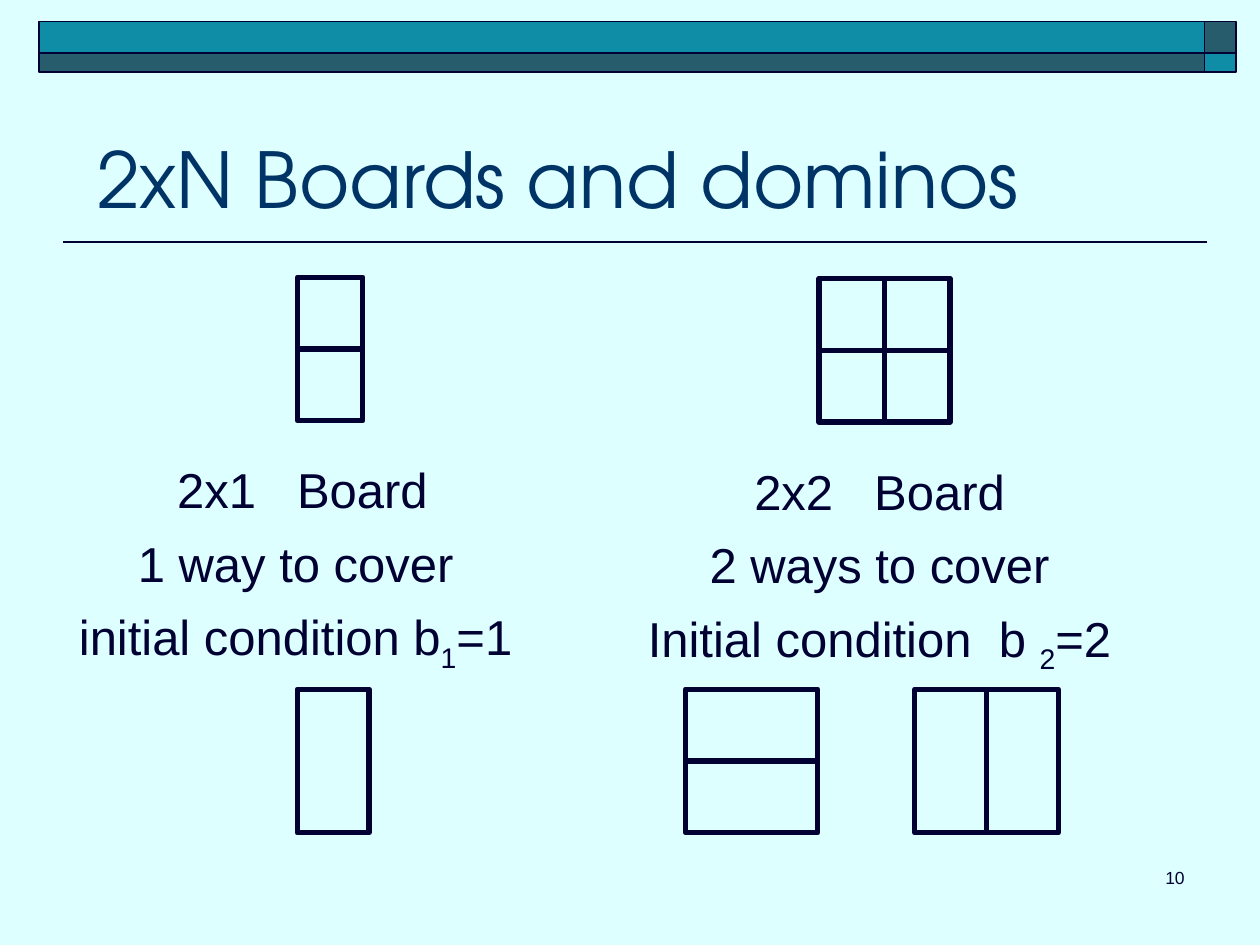
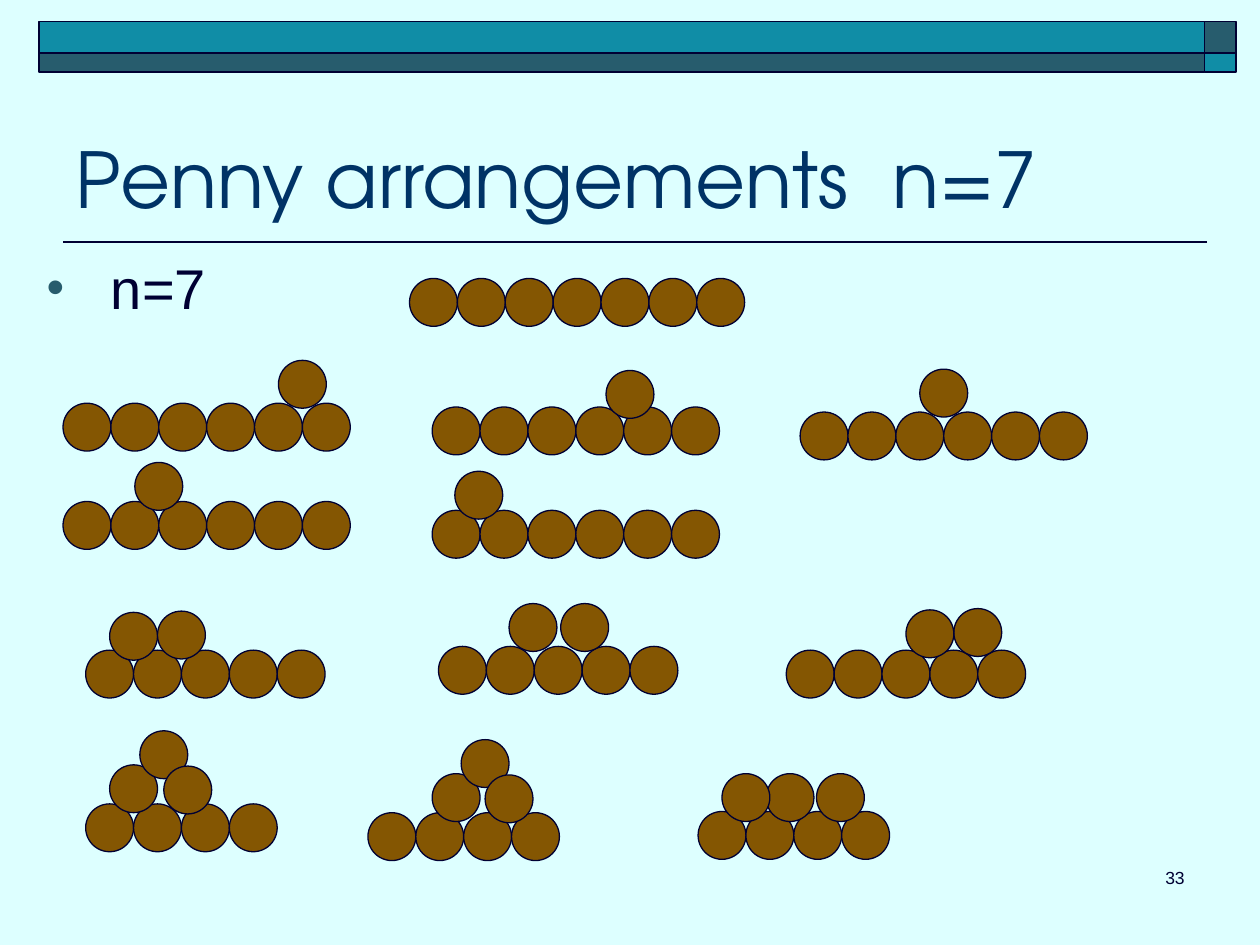
from lxml.etree import SubElement
from pptx import Presentation
from pptx.dml.color import RGBColor
from pptx.enum.shapes import MSO_CONNECTOR, MSO_SHAPE
from pptx.enum.text import MSO_ANCHOR, MSO_AUTO_SIZE, PP_ALIGN
from pptx.oxml.ns import qn
from pptx.util import Inches, Pt

COLORS = {
    "background": "DDFFFF",
    "ink": "000033",
    "title": "003366",
    "teal": "108DA6",
    "slate": "275C6D",
    "penny": "845602",
}
TITLE_FONT = "TeX Gyre Adventor"
BODY_FONT = "Arial"
PENNY_SIZE = 0.38

BANDS = [
    (9.56, 0.17, 0.25, 0.25, "slate"),
    (0.31, 0.17, 9.25, 0.25, "teal"),
    (0.31, 0.42, 9.25, 0.15, "slate"),
    (9.56, 0.42, 0.25, 0.15, "teal"),
]

# left, top of base row, pennies in base row, (offset, rise) of each upper penny
STACKS = [
    (3.25, 2.21, 7, []),
    (0.5, 3.2, 6, [(1.71, 0.34)]),
    (3.43, 3.23, 6, [(1.38, 0.29)]),
    (6.35, 3.27, 6, [(0.95, 0.34)]),
    (0.5, 3.98, 6, [(0.57, 0.31)]),
    (3.43, 4.05, 6, [(0.18, 0.31)]),
    (0.68, 5.16, 5, [(0.19, 0.3), (0.57, 0.31)]),
    (3.48, 5.13, 5, [(0.97, 0.34), (0.56, 0.34)]),
    (6.24, 5.16, 5, [(1.33, 0.33), (0.95, 0.32)]),
    (0.68, 6.38, 4, [(0.19, 0.31), (0.43, 0.58), (0.62, 0.3)]),
    (2.92, 6.45, 4, [(0.51, 0.31), (0.74, 0.58), (0.93, 0.3)]),
    (5.54, 6.44, 4, [(0.54, 0.3), (0.19, 0.3), (0.94, 0.3)]),
]


def color(name):
    return RGBColor.from_string(COLORS[name])


def place(shape, left, top, width, height):
    shape.left, shape.top = Inches(left), Inches(top)
    shape.width, shape.height = Inches(width), Inches(height)


def format_span(span, size, font=BODY_FONT, ink="ink"):
    span.font.size = Pt(size)
    span.font.name = font
    span.font.color.rgb = color(ink)


def add_spans(para, parts, size, font=BODY_FONT, ink="ink"):
    for text, attributes in parts:
        span = para.add_run()
        span.text = text
        format_span(span, size, font, ink)
        for name, value in attributes.items():
            span._r.get_or_add_rPr().set(name, str(value))


def wide_space(size, spaces):
    return " ", {"spc": round(28 * size * (spaces - 1))}


def subscript(text):
    return text, {"baseline": -25000}


def plain(text):
    return text, {}


def add_figure(page, kind, left, top, width, height, fill=None, line=1):
    figure = page.shapes.add_shape(
        kind, Inches(left), Inches(top), Inches(width), Inches(height))
    figure.shadow.inherit = False
    if fill:
        figure.fill.solid()
        figure.fill.fore_color.rgb = color(fill)
    else:
        figure.fill.background()
    figure.line.color.rgb = color("ink")
    figure.line.width = Pt(line)


def add_text_box(page, left, top, width, height):
    box = page.shapes.add_textbox(
        Inches(left), Inches(top), Inches(width), Inches(height))
    box.text_frame.word_wrap = True
    return box.text_frame


def add_bands(page):
    rule = page.shapes.add_connector(
        MSO_CONNECTOR.STRAIGHT, Inches(9.58), Inches(1.92), Inches(0.5), Inches(1.92))
    rule.line.color.rgb = color("ink")
    rule.line.width = Pt(1)
    SubElement(rule._element.spPr, qn("a:effectLst"))
    for left, top, width, height, fill in BANDS:
        add_figure(page, MSO_SHAPE.RECTANGLE, left, top, width, height, fill)


def add_title(page, parts, width, inset):
    title = page.shapes.title
    place(title, 0.5, 0.58, width, 1.25)
    frame = title.text_frame
    frame.auto_size = MSO_AUTO_SIZE.NONE
    frame.vertical_anchor = MSO_ANCHOR.BOTTOM
    frame.margin_left = Inches(inset)
    para = frame.paragraphs[0]
    para.alignment = PP_ALIGN.LEFT
    add_spans(para, parts, 44, TITLE_FONT, "title")


def add_page_number(page, number):
    para = add_text_box(page, 7.42, 6.83, 2.08, 0.5).paragraphs[0]
    para.text = str(number)
    para.alignment = PP_ALIGN.RIGHT
    format_span(para.runs[0], 10)


def start_page(deck, layout, title_parts, number, title_width=9, title_inset=0.1):
    page = deck.slides.add_slide(deck.slide_layouts[layout])
    add_bands(page)
    add_title(page, title_parts, title_width, title_inset)
    add_page_number(page, number)
    return page


def add_tiles(page, left, top, columns, rows, width, height):
    for row in range(rows):
        for column in range(columns):
            add_figure(page, MSO_SHAPE.RECTANGLE, left + column * width,
                       top + row * height, width, height, line=3)


def add_caption(page, left, top, width, lines):
    frame = add_text_box(page, left, top, width, 1.76)
    for index, parts in enumerate(lines):
        para = frame.add_paragraph() if index else frame.paragraphs[0]
        para.alignment = PP_ALIGN.CENTER
        para.space_before = Pt(8.4 if index else 0)
        add_spans(para, parts, 28)


def add_stack(page, left, top, count, uppers):
    base = [(index * PENNY_SIZE, 0) for index in range(count)]
    for offset, rise in base + uppers:
        add_figure(page, MSO_SHAPE.OVAL, left + offset, top - rise,
                   PENNY_SIZE, PENNY_SIZE, "penny", 0.75)


def add_bullet(page, text):
    body = page.placeholders[1]
    place(body, 0.27, 1.96, 9, 4.7)
    body.text_frame.auto_size = MSO_AUTO_SIZE.NONE
    para = body.text_frame.paragraphs[0]
    para.text = text
    para.space_before = Pt(0)
    properties = para._p.get_or_add_pPr()
    properties.set("marL", str(Inches(0.51)))
    properties.set("indent", str(-Inches(0.51)))
    bullet_color = SubElement(properties, qn("a:buClr"))
    SubElement(bullet_color, qn("a:srgbClr"), val=COLORS["slate"])
    SubElement(properties, qn("a:buSzPct"), val="90000")
    SubElement(properties, qn("a:buChar"), char="•")
    format_span(para.runs[0], 32)


def build_boards_page(deck):
    page = start_page(deck, 5, [plain("2xN Boards and dominos")], 10, title_inset=0.27)
    add_tiles(page, 2.36, 2.2, 1, 2, 0.52, 0.57)
    add_tiles(page, 6.5, 2.21, 2, 2, 0.52, 0.57)
    add_tiles(page, 2.36, 5.47, 1, 1, 0.57, 1.14)
    add_tiles(page, 5.44, 5.47, 1, 2, 1.05, 0.57)
    add_tiles(page, 7.26, 5.47, 2, 1, 0.57, 1.14)
    add_caption(page, 0.5, 3.6, 3.8, [
        [plain("2x1"), wide_space(28, 3), plain("Board")],
        [plain("1 way to cover ")],
        [plain("initial condition b"), subscript("1"), plain("=1 ")],
    ])
    add_caption(page, 5.02, 3.61, 3.92, [
        [plain("2x2"), wide_space(28, 3), plain("Board")],
        [plain("2 ways to cover")],
        [plain("Initial condition"), wide_space(28, 2), plain("b "),
         subscript("2"), plain("=2 ")],
    ])


def build_pennies_page(deck):
    title = [plain("Penny arrangements"), wide_space(44, 2), plain("n=7")]
    page = start_page(deck, 1, title, 33, title_width=9.23)
    add_bullet(page, "n=7")
    for stack in STACKS:
        add_stack(page, *stack)


def main():
    deck = Presentation()
    deck.slide_width, deck.slide_height = Inches(10), Inches(7.5)
    background = deck.slide_master.background.fill
    background.solid()
    background.fore_color.rgb = color("background")
    build_boards_page(deck)
    build_pennies_page(deck)
    deck.save("out.pptx")


if __name__ == "__main__":
    main()
